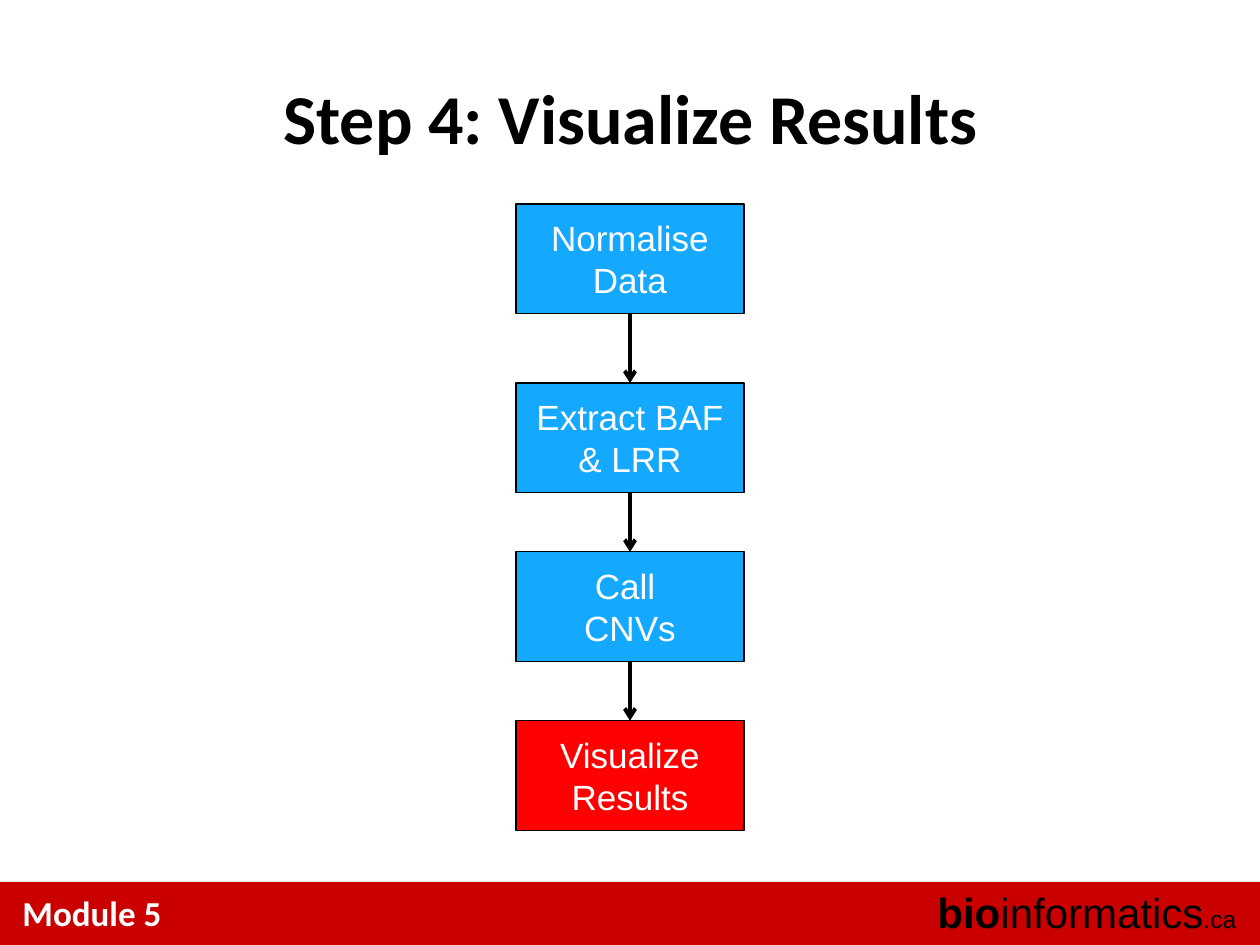
from itertools import pairwise
from lxml.etree import SubElement
from pptx import Presentation
from pptx.dml.color import RGBColor
from pptx.enum.shapes import MSO_CONNECTOR as Connector, MSO_SHAPE as Shape
from pptx.enum.text import MSO_ANCHOR as Anchor, PP_ALIGN as Align
from pptx.oxml.ns import qn
from pptx.util import Inches, Pt

COLORS = {"step": "14A8FF", "current": "FF0000", "footer": "CA0000",
          "dark": "000000", "light": "FFFFFF"}
WIDTH, HEIGHT = 10, 7.5
STEPS = [("Normalise Data", "step"), ("Extract BAF & LRR", "step"),
         ("Call \vCNVs", "step"), ("Visualize Results", "current")]
STEP_WIDTH, STEP_HEIGHT = 1.81, 0.87
FIRST_TOP, SECOND_TOP, STEP_PITCH = 1.62, 3.04, 1.34
FOOTER_HEIGHT = HEIGHT / 15

HEADING = {"name": "Calibri", "size": Pt(40), "bold": True}
MODULE = {"name": "Calibri", "size": Pt(20), "bold": True}
BRAND = {"name": "Arial", "size": Pt(24), "bold": False}
STEP = {"name": "Arial", "size": Pt(20), "bold": False}
TEXTS = [
    ((0.08, 7.03, 7.33, 0.44), Align.LEFT, Anchor.TOP, "light", [("Module 5", MODULE)]),
    ((7.33, 6.99, 2.58, 0.5), Align.RIGHT, Anchor.TOP, "dark",
     [("bio", BRAND | {"bold": True}), ("informatics", BRAND),
      (".ca", BRAND | {"size": Pt(14)})]),
    ((0.17, 0.3, 9.67, 1.25), Align.CENTER, Anchor.MIDDLE, "dark",
     [("Step 4: Visualize Results", HEADING)]),
]


def color(name):
    return RGBColor.from_string(COLORS[name])


def write(shape, runs, alignment, anchor, text_color):
    frame = shape.text_frame
    frame.word_wrap = True
    frame.vertical_anchor = anchor
    paragraph = frame.paragraphs[0]
    paragraph.alignment = alignment
    for text, style in runs:
        for index, line in enumerate(text.split("\v")):
            if index:
                paragraph.add_line_break()
            run = paragraph.add_run()
            run.text = line
            for attribute, value in style.items():
                setattr(run.font, attribute, value)
            run.font.color.rgb = color(text_color)


def add_rectangle(slide, box, fill, outlined=True):
    shape = slide.shapes.add_shape(Shape.RECTANGLE, *map(Inches, box))
    shape.shadow.inherit = False
    shape.fill.solid()
    shape.fill.fore_color.rgb = color(fill)
    if outlined:
        shape.line.color.rgb = color("dark")
        shape.line.width = Pt(0.75)
    else:
        shape.line.fill.background()
    return shape


def add_arrow(slide, upper, lower):
    arrow = slide.shapes.add_connector(Connector.STRAIGHT, 0, 0, 0, 0)
    arrow.begin_connect(upper, 2)
    arrow.end_connect(lower, 0)
    arrow.line.color.rgb = color("dark")
    arrow.line.width = Pt(2.25)
    SubElement(arrow.line._get_or_add_ln(), qn("a:tailEnd"), type="arrow")
    SubElement(arrow._element.spPr, qn("a:effectLst"))


def main():
    presentation = Presentation()
    presentation.slide_width = Inches(WIDTH)
    presentation.slide_height = Inches(HEIGHT)
    slide = presentation.slides.add_slide(presentation.slide_layouts[6])

    footer = (0, HEIGHT - FOOTER_HEIGHT, WIDTH, FOOTER_HEIGHT)
    add_rectangle(slide, footer, "footer", outlined=False)
    for box, alignment, anchor, text_color, runs in TEXTS:
        textbox = slide.shapes.add_textbox(*map(Inches, box))
        write(textbox, runs, alignment, anchor, text_color)

    left = (WIDTH - STEP_WIDTH) / 2
    steps = []
    for row, (label, fill) in enumerate(STEPS):
        top = SECOND_TOP + (row - 1) * STEP_PITCH if row else FIRST_TOP
        step = add_rectangle(slide, (left, top, STEP_WIDTH, STEP_HEIGHT), fill)
        write(step, [(label, STEP)], Align.CENTER, Anchor.MIDDLE, "light")
        steps.append(step)
    for upper, lower in pairwise(steps):
        add_arrow(slide, upper, lower)

    presentation.save("out.pptx")


if __name__ == "__main__":
    main()
